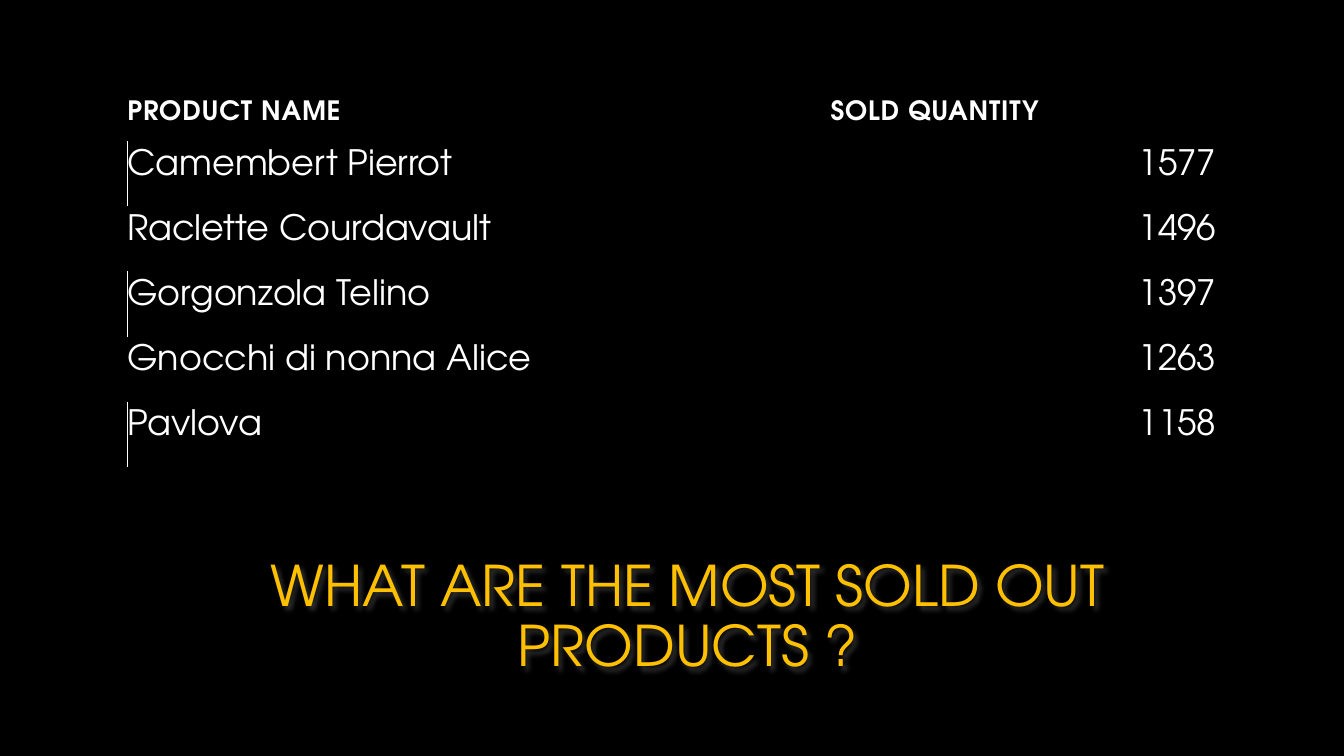
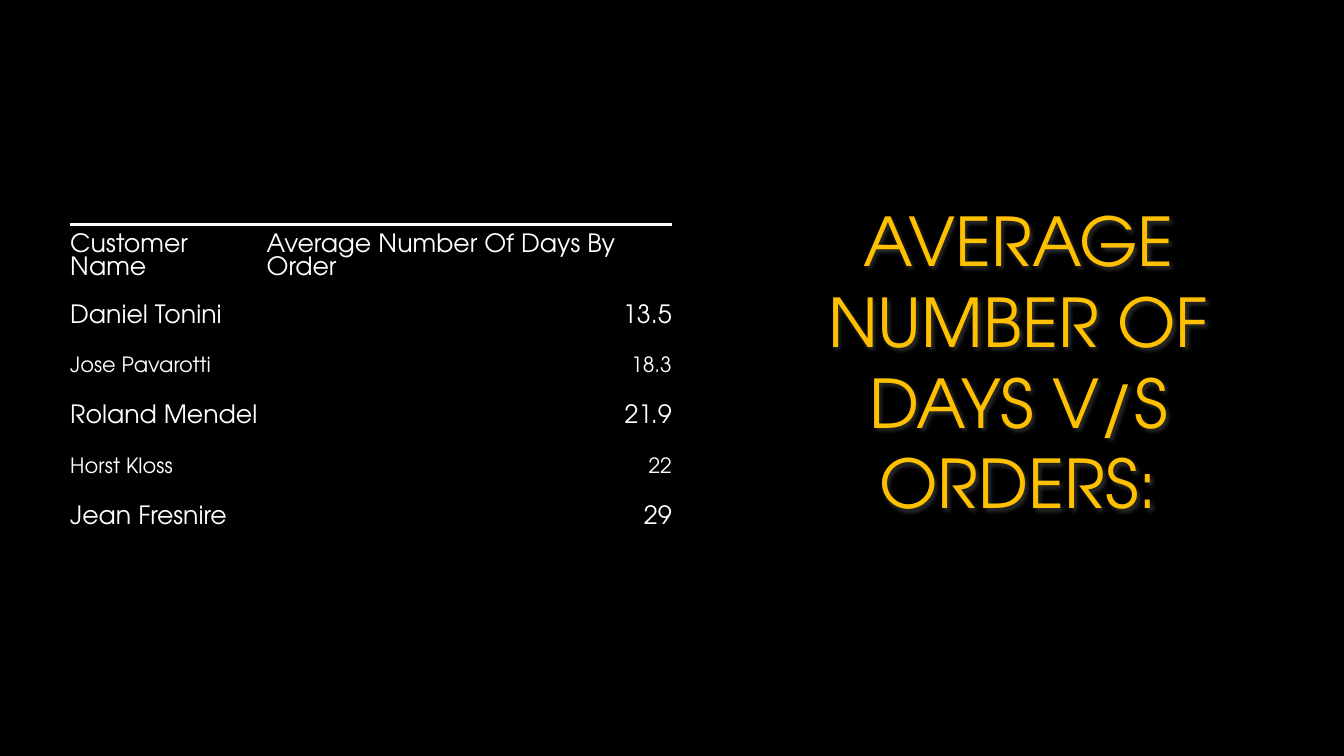
from lxml import etree
from pptx import Presentation
from pptx.dml.color import RGBColor
from pptx.enum.text import MSO_ANCHOR, MSO_AUTO_SIZE, PP_ALIGN
from pptx.oxml.ns import qn
from pptx.util import Cm, Pt

LEFT, CENTER, RIGHT = PP_ALIGN.LEFT, PP_ALIGN.CENTER, PP_ALIGN.RIGHT
MIDDLE, BOTTOM = MSO_ANCHOR.MIDDLE, MSO_ANCHOR.BOTTOM

FONT = "TeX Gyre Adventor"
BLACK, WHITE, GOLD, GRAY = "000000", "FFFFFF", "FFC000", "808080"
NO_STYLE_NO_GRID = "{2D5ABB26-0587-4C30-8999-92F81FD0307C}"
TITLE_ONLY = 5

PRODUCTS = [
    ("Camembert Pierrot", "1577"),
    ("Raclette Courdavault", "1496"),
    ("Gorgonzola Telino", "1397"),
    ("Gnocchi di nonna Alice", "1263"),
    ("Pavlova", "1158"),
]
CUSTOMERS = [
    ("Daniel Tonini", "13.5"),
    ("Jose Pavarotti", "18.3"),
    ("Roland Mendel", "21.9"),
    ("Horst Kloss", "22"),
    ("Jean Fresnire", "29"),
]


def color(hex_value):
    return RGBColor.from_string(hex_value)


def add_run(paragraph, text, size, hex_value, bold=False):
    run = paragraph.add_run()
    run.text = text
    run.font.size = Pt(size)
    run.font.bold = bold
    run.font.color.rgb = color(hex_value)
    run.font.name = FONT
    return run


def add_soft_shadow(shape):
    """Give an unfilled shape a shadow, which falls from its text."""
    effects = etree.SubElement(shape.element.spPr, qn("a:effectLst"))
    shadow = etree.SubElement(effects, qn("a:outerShdw"), blurRad="38100",
                              dist="25400", dir="2700000", algn="tl")
    shadow_color = etree.SubElement(shadow, qn("a:srgbClr"), val=GRAY)
    etree.SubElement(shadow_color, qn("a:alpha"), val="40000")


def set_title(slide, text, box, size, line_spacing):
    """Fill the title placeholder; box is left, top, width, height in cm."""
    title = slide.shapes.title
    title.left, title.top, title.width, title.height = map(Cm, box)
    add_soft_shadow(title)
    frame = title.text_frame
    frame.word_wrap = True
    frame.auto_size = MSO_AUTO_SIZE.NONE
    frame.vertical_anchor = BOTTOM
    paragraph = frame.paragraphs[0]
    paragraph.alignment = CENTER
    paragraph.line_spacing = line_spacing
    add_run(paragraph, text, size, GOLD)


def add_plain_table(slide, left, top, widths, heights):
    """Add a table without style or grid, black on every second body row."""
    frame = slide.shapes.add_table(len(heights), len(widths), Cm(left), Cm(top),
                                   Cm(sum(widths)), Cm(sum(heights)))
    table = frame.table
    table._tbl.tblPr.find(qn("a:tableStyleId")).text = NO_STYLE_NO_GRID
    table.horz_banding = False
    for column, width in zip(table.columns, widths):
        column.width = Cm(width)
    for index, (row, height) in enumerate(zip(table.rows, heights)):
        row.height = Cm(height)
        for cell in row.cells:
            if index and index % 2 == 0:
                cell.fill.solid()
                cell.fill.fore_color.rgb = color(BLACK)
            else:
                cell.fill.background()
    return table


def write_cell(cell, text, size, top=0.0, bottom=0.0, anchor=MIDDLE,
               align=LEFT, bold=False):
    """Write one run; top and bottom are the margins in cm."""
    cell.margin_left = cell.margin_right = 0
    cell.margin_top, cell.margin_bottom = Cm(top), Cm(bottom)
    cell.vertical_anchor = anchor
    paragraph = cell.text_frame.paragraphs[0]
    paragraph.alignment = align
    return add_run(paragraph, text, size, WHITE, bold)


def add_cell_border(cell, side, width):
    """Draw a white line on one side, given as the tag lnL or lnT."""
    line = etree.Element(qn("a:" + side), w=str(Pt(width)))
    fill = etree.SubElement(line, qn("a:solidFill"))
    etree.SubElement(fill, qn("a:srgbClr"), val=WHITE)
    cell._tc.get_or_add_tcPr().insert(0, line)


def build_products_slide(slide):
    set_title(slide, "WHAT ARE THE MOST SOLD OUT PRODUCTS ?",
              (4.86, 12.11, 24.94, 5.13), 40, 0.9)
    table = add_plain_table(slide, 3.21, 1.78, (17.72, 9.72),
                            [1.78] + [1.64] * len(PRODUCTS))
    for column, heading in enumerate(("PRODUCT NAME", "SOLD QUANTITY")):
        run = write_cell(table.cell(0, column), heading, 19, 0.41, 0.41,
                         anchor=BOTTOM, bold=True)
        run._r.get_or_add_rPr().set("spc", "60")
    for row, (name, quantity) in enumerate(PRODUCTS, 1):
        write_cell(table.cell(row, 0), name, 25, bottom=0.41)
        write_cell(table.cell(row, 1), quantity, 25, bottom=0.41, align=RIGHT)
        if row % 2:
            add_cell_border(table.cell(row, 0), "lnL", 1)


def build_customers_slide(slide):
    set_title(slide, "AVERAGE NUMBER OF DAYS V/S ORDERS:",
              (19, 1.58, 13.33, 11.71), 48, 1.0)
    table = add_plain_table(slide, 1.77, 5.66, (4.95, 10.21),
                            (1.32, 1.32, 1.22, 1.32, 1.22, 1.32))
    headings = ("Customer Name", "Average Number Of Days By Order")
    for column, heading in enumerate(headings):
        cell = table.cell(0, column)
        write_cell(cell, heading, 18, 0.23, 0.23)
        add_cell_border(cell, "lnT", 2.25)
    for row, (name, days) in enumerate(CUSTOMERS, 1):
        size = 18 if row % 2 else 15
        write_cell(table.cell(row, 0), name, size, 0.23, 0.23)
        write_cell(table.cell(row, 1), days, size, 0.23, 0.23, align=RIGHT)


def main():
    presentation = Presentation()
    presentation.slide_width, presentation.slide_height = Cm(33.87), Cm(19.05)
    background = presentation.slide_master.background.fill
    background.solid()
    background.fore_color.rgb = color(BLACK)
    layout = presentation.slide_layouts[TITLE_ONLY]
    for build in (build_products_slide, build_customers_slide):
        build(presentation.slides.add_slide(layout))
    presentation.save("out.pptx")


if __name__ == "__main__":
    main()
